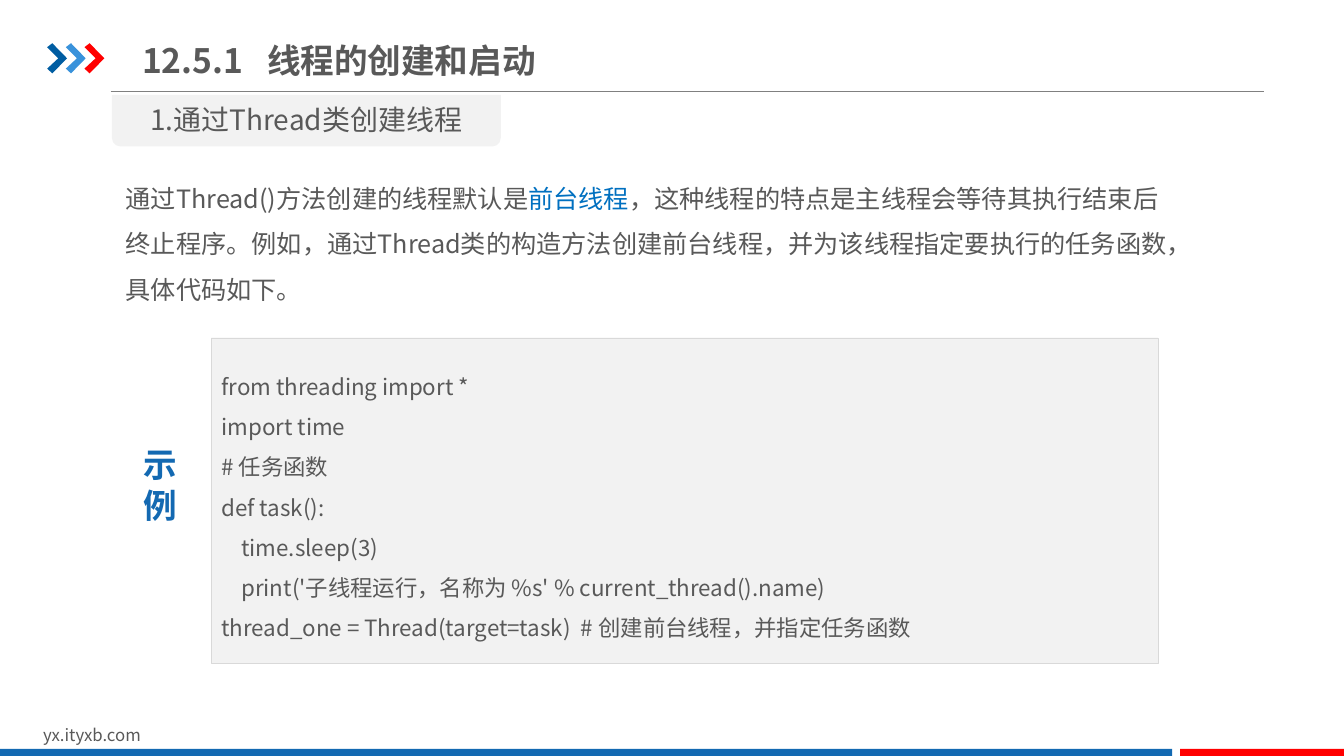
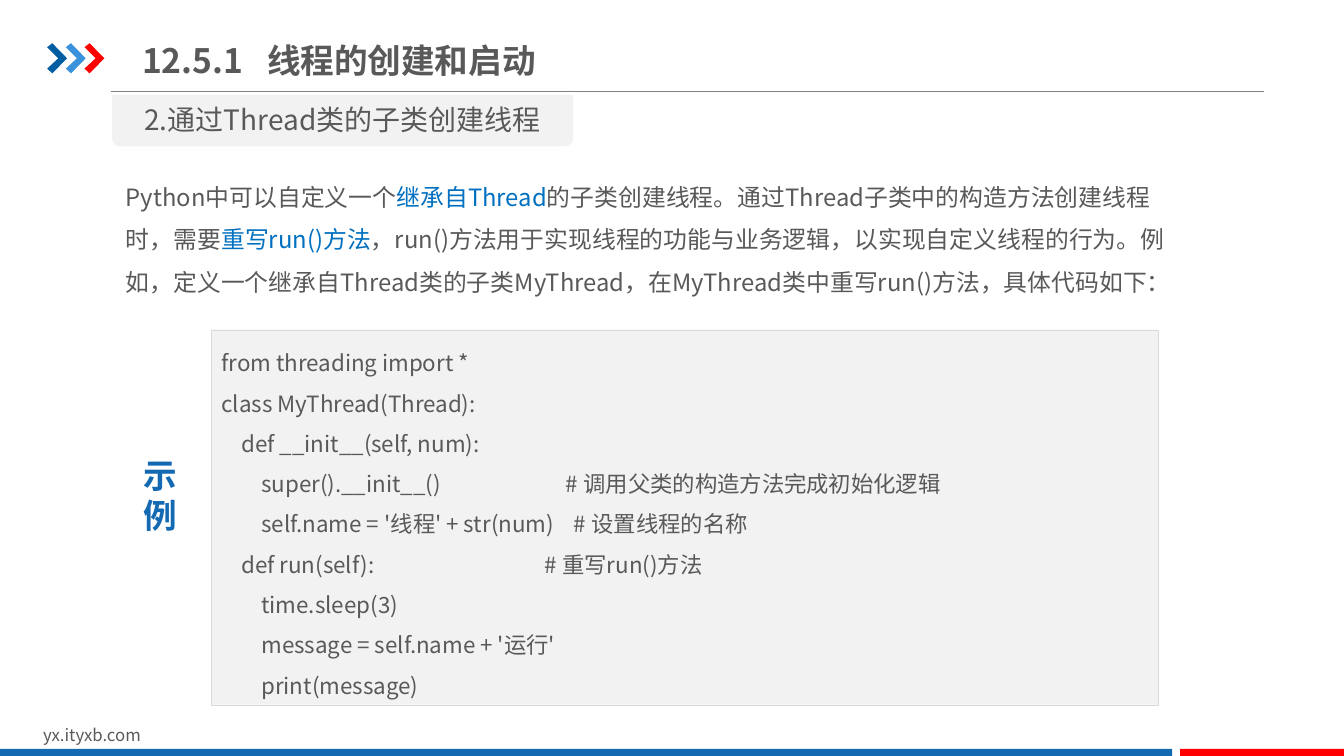
import pptx
import pptx.util
import pptx.dml.color
import pptx.enum.shapes
import pptx.enum.text
import pptx.oxml
import pptx.oxml.ns

Cm = pptx.util.Cm
SHAPE = pptx.enum.shapes.MSO_SHAPE
ANCHOR = pptx.enum.text.MSO_ANCHOR
ALIGN = pptx.enum.text.PP_ALIGN

FONT = "Noto Sans CJK SC"
COLORS = {
    "text": "595959", "accent": "0070C0", "blue": "1369B2", "red": "FF0000",
    "navy": "005DA2", "sky": "3992DB", "panel": "F2F2F2", "border": "D9D9D9",
    "rule": "808080",
}
CHEVRON = [(0, 0.1), (0.13, 0), (0.5, 0.38), (0.13, 0.76), (0, 0.64), (0.28, 0.38)]
CHEVRON_PITCH = 0.47

# Text styles: font attributes, colour and paragraph attributes
STYLES = {
    "title": {"font": {"size": 24, "bold": True}},
    "heading": {"font": {"size": 20}, "para": {"alignment": ALIGN.CENTER}},
    "body": {"font": {"size": 18}, "para": {"line_spacing": 1.5}},
    "dense body": {"font": {"size": 17}, "para": {"line_spacing": 1.5}},
    "code": {"font": {"size": 16},
             "para": {"line_spacing": 1.5, "alignment": ALIGN.LEFT}},
    "label": {"font": {"size": 24, "bold": True}, "color": "blue",
              "para": {"alignment": ALIGN.CENTER}},
    "footer": {"font": {"size": 12}},
}

# Slide content; in the body, every second part between bars is accented
TITLE = "12.5.1\t线程的创建和启动"
SLIDES = [
    {
        "heading": "1.通过Thread类创建线程", "heading_width": 9.8,
        "body": "通过Thread()方法创建的线程默认是|前台线程|，这种线程的特点是主线程会等待其执行结束后"
                "终止程序。例如，通过Thread类的构造方法创建前台线程，并为该线程指定要执行的任务函数，"
                "具体代码如下。",
        "body_style": "body",
        "code_top": 8.51, "code_height": 8.2, "label_top": 11.07,
        "code": """from threading import *
import time
# 任务函数
def task():
    time.sleep(3)
    print('子线程运行，名称为 %s' % current_thread().name)
thread_one = Thread(target=task)  # 创建前台线程，并指定任务函数""",
    },
    {
        "heading": "2.通过Thread类的子类创建线程", "heading_width": 11.63,
        "body": "Python中可以自定义一个|继承自Thread|的子类创建线程。通过Thread子类中的构造方法"
                "创建线程时，需要|重写run()方法|，run()方法用于实现线程的功能与业务逻辑，"
                "以实现自定义线程的行为。例如，定义一个继承自Thread类的子类MyThread，"
                "在MyThread类中重写run()方法，具体代码如下：",
        "body_style": "dense body",
        "code_top": 8.31, "code_height": 9.45, "label_top": 11.33,
        "code": """from threading import *
class MyThread(Thread):
    def __init__(self, num):
        super().__init__()                         # 调用父类的构造方法完成初始化逻辑
        self.name = '线程' + str(num)    # 设置线程的名称
    def run(self):                                  # 重写run()方法
        time.sleep(3)
        message = self.name + '运行'
        print(message)""",
    },
]


def rgb(name):
    return pptx.dml.color.RGBColor.from_string(COLORS[name])


def set_attrs(target, values):
    for name, value in values.items():
        setattr(target, name, value)


def add_run(p, text, style, color):
    r = p.add_run()
    r.text = text
    font = {**style["font"], "size": pptx.util.Pt(style["font"]["size"]), "name": FONT}
    set_attrs(r.font, font)
    r.font.color.rgb = rgb(color)
    ea = pptx.oxml.parse_xml(
        f'<a:ea {pptx.oxml.ns.nsdecls("a")} typeface="{FONT}"/>')
    r.font._element.append(ea)


def write(tf, text, style_name, anchor=ANCHOR.TOP):
    """One paragraph per line; bars switch the accent colour on and off."""
    style = STYLES[style_name]
    set_attrs(tf, {"word_wrap": True, "vertical_anchor": anchor})
    for i, line in enumerate(text.split("\n")):
        p = tf.add_paragraph() if i else tf.paragraphs[0]
        set_attrs(p, style.get("para", {}))
        for j, part in enumerate(line.split("|")):
            add_run(p, part, style, "accent" if j % 2 else style.get("color", "text"))


def add_text(s, box, text, style_name, anchor=ANCHOR.TOP):
    sp = s.shapes.add_textbox(*map(Cm, box))
    write(sp.text_frame, text, style_name, anchor)
    return sp


def paint(sp, fill):
    sp.shadow.inherit = False
    sp.fill.solid()
    sp.fill.fore_color.rgb = rgb(fill)
    sp.line.fill.background()


def add_block(s, kind, box, fill):
    sp = s.shapes.add_shape(kind, *map(Cm, box))
    paint(sp, fill)
    return sp


def add_chevron(s, left, top, fill):
    points = [(Cm(left + x), Cm(top + y)) for x, y in CHEVRON]
    outline = s.shapes.build_freeform(*points[0], scale=1.0)
    outline.add_line_segments(points[1:], close=True)
    paint(outline.convert_to_shape(), fill)


def add_rule(s, left, right, y):
    line = s.shapes.add_connector(pptx.enum.shapes.MSO_CONNECTOR.STRAIGHT,
                                  Cm(left), Cm(y), Cm(right), Cm(y))
    line.line.color.rgb = rgb("rule")
    line.line.width = pptx.util.Pt(0.75)
    line._element.spPr.append(pptx.oxml.parse_xml(
        f'<a:effectLst {pptx.oxml.ns.nsdecls("a")}/>'))


def add_title(s, text):
    sp = add_text(s, (3.33, 0.74, 16.1, 1.55), text, "title", ANCHOR.MIDDLE)
    # Tab stop between section number and title
    p_pr = sp.text_frame.paragraphs[0]._p.get_or_add_pPr()
    p_pr.append(pptx.oxml.parse_xml(
        f'<a:tabLst {pptx.oxml.ns.nsdecls("a")}>'
        f'<a:tab pos="{Cm(3.15)}" algn="l"/></a:tabLst>'))


def add_frame(s):
    """Rule, chevrons, footer and bottom bands shared by all slides."""
    add_rule(s, 2.79, 31.85, 2.31)
    for i, color in enumerate(("navy", "sky", "red")):
        add_chevron(s, 1.19 + i * CHEVRON_PITCH, 1.09, color)
    add_text(s, (0.84, 18.14, 8.08, 0.76), "yx.ityxb.com", "footer")
    for left, width, color in ((0, 29.54, "blue"), (29.74, 4.13, "red")):
        add_block(s, SHAPE.RECTANGLE, (left, 18.87, width, 0.23), color)


def add_heading(s, text, width):
    tab = add_block(s, SHAPE.ROUND_2_SAME_RECTANGLE, (2.82, 2.39, width, 1.3), "panel")
    tab.rotation = 180
    add_text(s, (2.82, 2.46, width, 1.12), text, "heading")


def add_code(s, text, top, height):
    panel = add_block(s, SHAPE.RECTANGLE, (5.33, top, 23.85, height), "panel")
    panel.line.color.rgb = rgb("border")
    panel.line.width = pptx.util.Pt(0.25)
    write(panel.text_frame, text, "code", ANCHOR.MIDDLE)


def main():
    prs = pptx.Presentation()
    set_attrs(prs, {"slide_width": Cm(33.87), "slide_height": Cm(19.05)})
    for content in SLIDES:
        s = prs.slides.add_slide(prs.slide_layouts[6])
        add_frame(s)
        add_text(s, (2.92, 4.11, 26.85, 3.86), content["body"], content["body_style"])
        add_code(s, content["code"], content["code_top"], content["code_height"])
        add_text(s, (2.95, content["label_top"], 2.18, 2.79), "示\n例", "label")
        add_title(s, TITLE)
        add_heading(s, content["heading"], content["heading_width"])
    prs.save("out.pptx")


if __name__ == "__main__":
    main()
